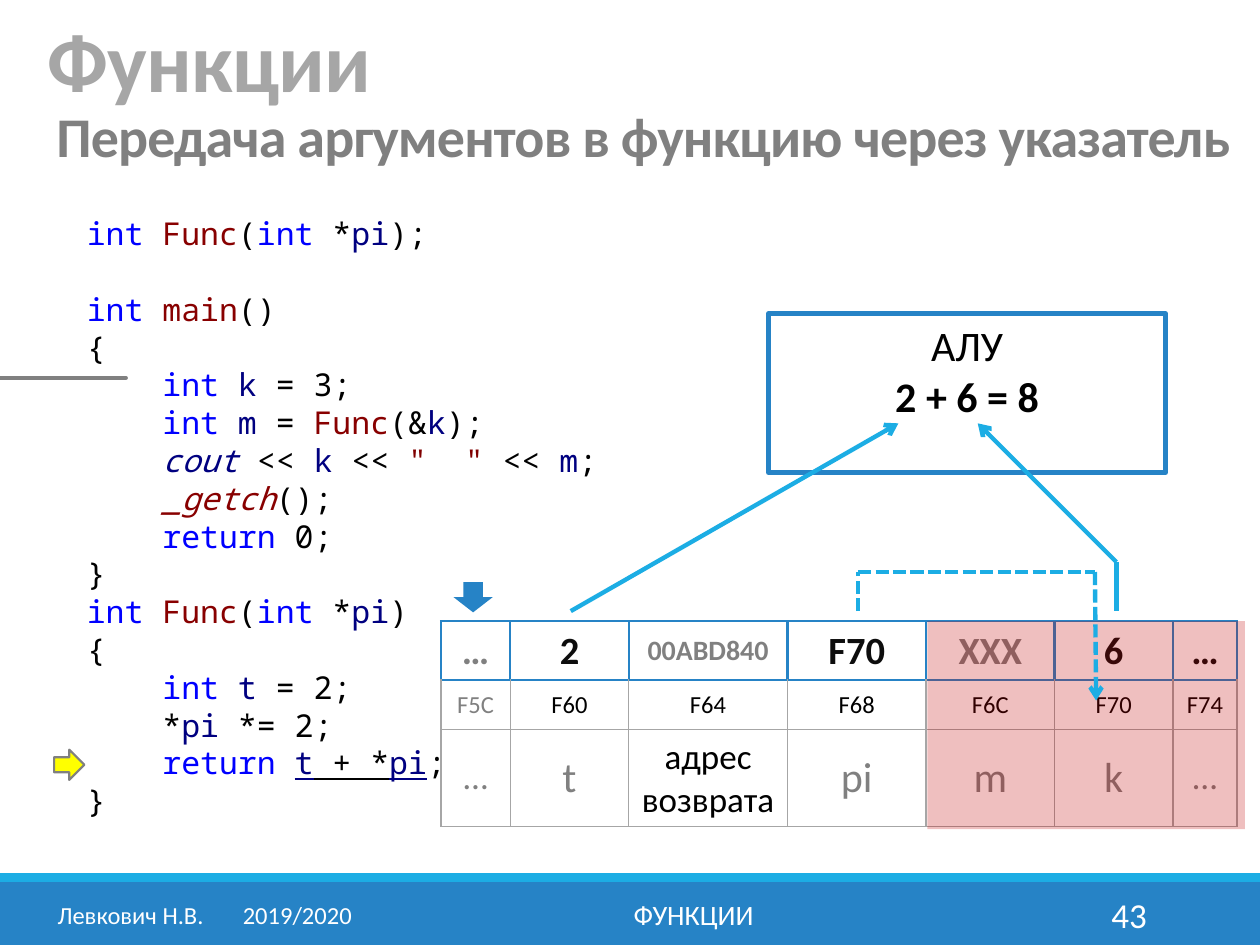
"""Build the slide on passing arguments to a function through a pointer."""
import itertools

import pptx
import pptx.dml.color
import pptx.enum.dml
import pptx.enum.shapes
import pptx.enum.text
import pptx.oxml
import pptx.oxml.ns
import pptx.util

Inches, Pt = pptx.util.Inches, pptx.util.Pt
Shape = pptx.enum.shapes.MSO_SHAPE
Align = pptx.enum.text.PP_ALIGN
Anchor = pptx.enum.text.MSO_ANCHOR

HUES = {
    "blue": "2683C6", "sky": "1CADE4", "white": "FFFFFF", "black": "000000",
    "ink": "0D0D0D", "gray": "808080", "light": "A6A6A6", "pale": "D9D9D9",
    "yellow": "FFFF00", "red": "C00000", "key": "0000FF", "func": "880000",
    "name": "000080", "quote": "800000",
}
WORDS = {"int": "key", "return": "key", "Func": "func", "main": "func", "_getch": "func"}
WORDS.update(dict.fromkeys(["k", "m", "t", "pi", "cout"], "name"))
CODE = """int Func(int *pi);
int main()
{
    int k = 3;
    int m = Func(&k);
    cout << k << "  " << m;
    _getch();
    return 0;
}
int Func(int *pi)
{
    int t = 2;
    *pi *= 2;
    return t + *pi;
}"""
WIDTHS = [0.55, 0.94, 1.26, 1.1, 1.02, 0.94, 0.51]
HEIGHTS = [0.47, 0.39, 0.77]
VALUES = [("…", 22, "gray"), ("2", 22, "ink"), ("00ABD840", 16, "gray"), ("F70", 22, "ink"),
          ("XXX", 22, "gray"), ("6", 22, "ink"), ("…", 22, "ink")]
PLACES = [("F5С", 14, "gray")] + [
    (text, 14, "black") for text in ("F60", "F64", "F68", "F6С", "F70", "F74")]
LABELS = [("…", 20, "gray"), ("t", 24, "gray"), ("адрес возврата", 20, "black"),
          ("pi", 24, "gray"), ("m", 24, "gray"), ("k", 24, "gray"), ("…", 20, "gray")]


def rgb(hue):
    return pptx.dml.color.RGBColor.from_string(HUES[hue])


def node(parent, tag, **attrs):
    item = pptx.oxml.ns.qn(tag)
    child = parent.makeelement(item, attrs)
    parent.append(child)
    return child


def style(para, size, hue, bold=False, align=Align.LEFT, space=None):
    para.alignment = align
    for run in para.runs:
        run.font.name, run.font.size, run.font.bold = "Calibri", Pt(size), bold
        run.font.color.rgb = rgb(hue)
        if space:
            run._r.get_or_add_rPr().set("spc", str(space))


def move(shape, box):
    shape.left, shape.top, shape.width, shape.height = map(Inches, box)


def add_text(slide, box, text, size, hue, anchor=Anchor.MIDDLE, tab=None, **look):
    frame = slide.shapes.add_textbox(*map(Inches, box)).text_frame
    frame.word_wrap, frame.vertical_anchor = True, anchor
    frame.text = text
    para = frame.paragraphs[0]
    if tab:
        tabs = node(para._p.get_or_add_pPr(), "a:tabLst")
        node(tabs, "a:tab", pos=str(Inches(tab)), algn="l")
    style(para, size, hue, **look)


def add_title(slide):
    title = slide.shapes.title
    move(title, (0.28, 0, 8.25, 0.92))
    frame = title.text_frame
    frame.text = "Функции"
    frame.auto_size = pptx.enum.text.MSO_AUTO_SIZE.NONE
    frame.vertical_anchor = Anchor.BOTTOM
    frame.paragraphs[0].line_spacing = 0.85
    style(frame.paragraphs[0], 48, "light", bold=True, space=-50)


def paint(shape, fill=None, edge=None, width=1):
    shape.shadow.inherit = False
    if fill:
        shape.fill.solid()
        shape.fill.fore_color.rgb = rgb(fill)
    else:
        shape.fill.background()
    if edge:
        shape.line.color.rgb, shape.line.width = rgb(edge), Pt(width)
    else:
        shape.line.fill.background()
    return shape


def add_box(slide, kind, box, *look):
    return paint(slide.shapes.add_shape(kind, *map(Inches, box)), *look)


def add_line(shapes, start, end, head=False, dash=False):
    link = shapes.add_connector(
        pptx.enum.shapes.MSO_CONNECTOR.STRAIGHT, *map(Inches, start + end))
    link.line.color.rgb, link.line.width = rgb("sky"), Pt(2.5)
    if dash:
        link.line.dash_style = pptx.enum.dml.MSO_LINE.SQUARE_DOT
    if head:
        node(link.line._get_or_add_ln(), "a:tailEnd", type="arrow")
    node(link._element.spPr, "a:effectLst")


def add_code(slide):
    frame = slide.shapes.add_textbox(*map(Inches, (0.59, 1.62, 4.49, 4.95))).text_frame
    frame.word_wrap, frame.margin_top = True, Inches(0.08)
    for row, line in enumerate(CODE.split("\n")):
        para = frame.add_paragraph() if row else frame.paragraphs[0]
        para.line_spacing = Pt(21.6)
        if line == "int main()":
            para.space_before = Pt(21.6)
        for part, text in enumerate(line.split('"')):
            if part % 2:
                add_run(para, f'"{text}"', "quote")
                continue
            for _, chars in itertools.groupby(text, lambda c: c.isalnum() or c == "_"):
                word = "".join(chars)
                add_run(para, word, WORDS.get(word, "black"))
        if "return t" in line:
            for run in para.runs[3:6]:
                run.font.underline = True


def add_run(para, text, hue):
    run = para.add_run()
    run.text = text
    run.font.name, run.font.size = "Noto Sans Mono", Pt(18)
    run.font.color.rgb = rgb(hue)
    run.font.italic = text in ("cout", "_getch")


def edge_cell(cell, row):
    for side in "LRTB":
        strong = row == 0 or (row == 1 and side == "T")
        line = node(cell._tc.get_or_add_tcPr(), f"a:ln{side}",
                    w=str(Pt(1.5 if strong else 1)))
        fill = node(line, "a:solidFill")
        node(fill, "a:srgbClr", val=HUES["blue" if strong else "light"])


def add_grid(slide):
    box = map(Inches, (3.5, 4.93, sum(WIDTHS), sum(HEIGHTS)))
    grid = slide.shapes.add_table(len(HEIGHTS), len(WIDTHS), *box).table
    for col, width in zip(grid.columns, WIDTHS):
        col.width = Inches(width)
    for row, cells in enumerate((VALUES, PLACES, LABELS)):
        grid.rows[row].height = Inches(HEIGHTS[row])
        for col, (text, size, hue) in enumerate(cells):
            cell = grid.cell(row, col)
            cell.text, cell.vertical_anchor = text, Anchor.MIDDLE
            style(cell.text_frame.paragraphs[0], size, hue, row == 0, Align.CENTER)
            edge_cell(cell, row)
            cell.fill.solid()
            cell.fill.fore_color.rgb = rgb("white")


def add_unit(slide):
    unit = add_box(slide, Shape.RECTANGLE, (6.1, 2.49, 3.15, 1.26), None, "blue", 3)
    frame = unit.text_frame
    frame.text, frame.vertical_anchor = "АЛУ\n2 + 6 = 8", Anchor.TOP
    for para, bold in zip(frame.paragraphs, (False, True)):
        style(para, 24, "black", bold, Align.CENTER)


def add_marks(slide):
    add_box(slide, Shape.RIGHT_ARROW, (0.43, 5.95, 0.24, 0.24), "yellow", "gray", 1.25)
    add_box(slide, Shape.DOWN_ARROW, (3.6, 4.62, 0.31, 0.24), "blue")
    dots = [(0.56, 3.27), (0.56, 3.21), (0.64, 3.33), (0.56, 3.45), (0.56, 3.39),
            (0.47, 3.39), (0.45, 3.37), (0.44, 3.31), (0.43, 3.23), (0.44, 3.26)]
    form = slide.shapes.build_freeform(0.47, 3.27, scale=Inches(1))
    form.add_line_segments(dots, close=True)
    paint(form.convert_to_shape(), "pale", "gray", 2.25)
    veil = add_box(slide, Shape.RECTANGLE, (7.36, 4.93, 2.52, 1.65), "red")
    tint = veil._element.spPr.find(".//" + pptx.oxml.ns.qn("a:srgbClr"))
    node(tint, "a:alpha", val="25000")


def add_links(slide):
    add_line(slide.shapes, (4.53, 4.85), (7.13, 3.36), head=True)
    group = slide.shapes.add_group_shape().shapes
    bends = [(6.81, 4.85), (6.81, 4.54), (8.69, 4.54), (8.7, 5.56)]
    for start, end in zip(bends, bends[1:]):
        add_line(group, start, end, head=end == bends[-1], dash=True)
    add_line(slide.shapes, (8.86, 4.46), (7.76, 3.36), head=True)
    add_line(slide.shapes, (8.86, 4.46), (8.86, 4.85))


def main():
    deck = pptx.Presentation()
    deck.slide_width, deck.slide_height = Inches(10), Inches(7.5)
    slide = deck.slides.add_slide(deck.slide_layouts[5])
    add_box(slide, Shape.RECTANGLE, (0, 7, 10, 0.5), "blue")
    add_box(slide, Shape.RECTANGLE, (0, 6.93, 10, 0.07), "sky")
    add_code(slide)
    add_title(slide)
    add_grid(slide)
    add_unit(slide)
    add_marks(slide)
    add_links(slide)
    add_text(slide, (0.35, 0.76, 9.53, 0.64), "Передача аргументов в функцию через указатель",
             32, "gray", Anchor.TOP, bold=True, space=-50)
    add_text(slide, (0.32, 7.06, 2.61, 0.4), "Левкович Н.В.\t2019/2020", 14, "white",
             tab=1.47, align=Align.CENTER)
    add_text(slide, (3.02, 7.06, 4.97, 0.4), "ФУНКЦИИ", 16, "white", align=Align.CENTER)
    add_text(slide, (8.12, 7.06, 1.08, 0.4), "43", 20, "white", align=Align.RIGHT)
    deck.save("out.pptx")


if __name__ == "__main__":
    main()
